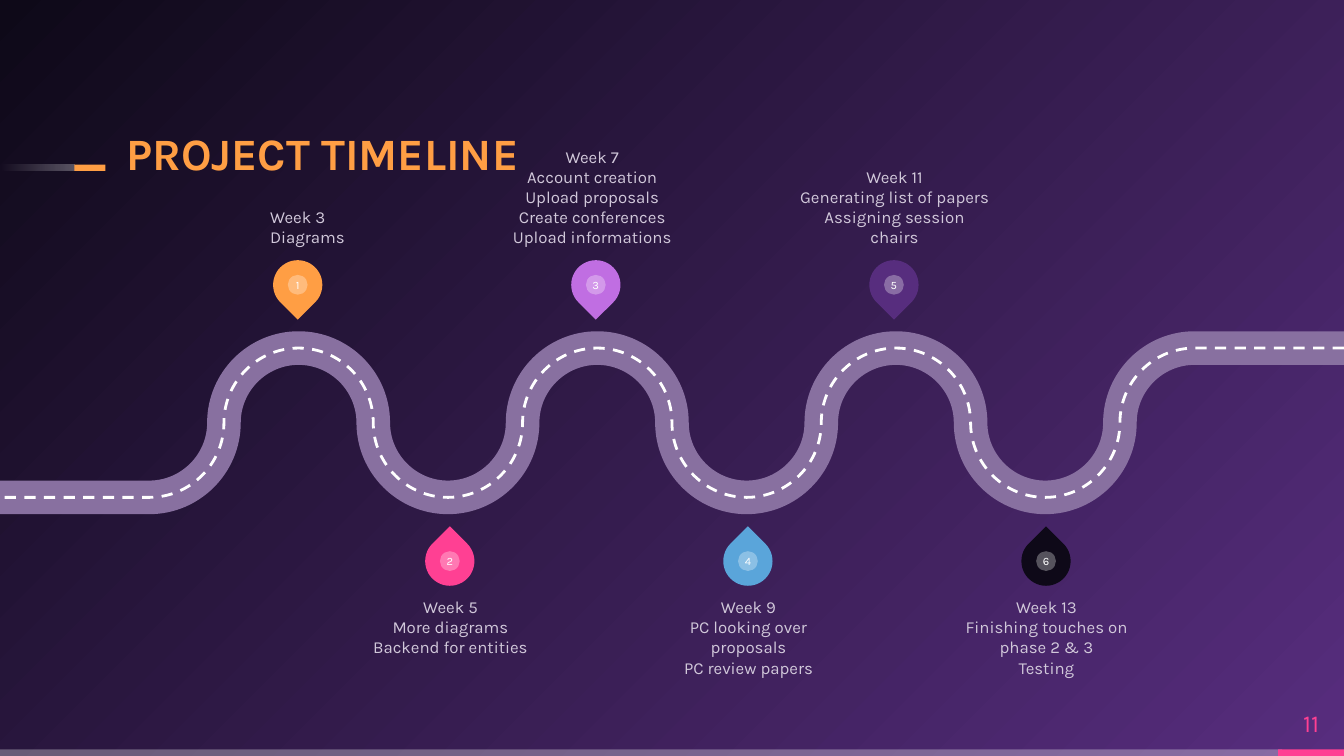
from lxml import etree
from pptx import Presentation
from pptx.dml.color import RGBColor
from pptx.enum.dml import MSO_LINE
from pptx.enum.shapes import MSO_SHAPE
from pptx.enum.text import MSO_ANCHOR, PP_ALIGN
from pptx.oxml import parse_xml
from pptx.oxml.ns import nsdecls, qn
from pptx.util import Pt

RECT, DROP, OVAL = MSO_SHAPE.RECTANGLE, MSO_SHAPE.TEAR, MSO_SHAPE.OVAL
LEFT, MID = PP_ALIGN.LEFT, PP_ALIGN.CENTER
TOP, CENTER, BOTTOM = MSO_ANCHOR.TOP, MSO_ANCHOR.MIDDLE, MSO_ANCHOR.BOTTOM
DASH = MSO_LINE.DASH

COLORS = {
    "white": "FFFFFF", "orange": "FF9E44", "pink": "FF4093",
    "violet": "C06EE2", "purple": "572D7E", "blue": "5AA5DA",
    "night": "0E0918", "road": "8870A0", "label": "D1C8DA",
}
FRAME = {"word_wrap": True, "margin_left": 0, "margin_right": 0,
         "margin_top": 0, "margin_bottom": 0}

WIDE, HIGH = 720, 405
CREST, DIP, BEND = 186.5, 266.5, 40
STEP, PIN, DOT = 159.7, 26.4, 10.6
LABEL = 101.6

UPPER = [
    ("1", "orange", 108.7, ["Week 3", "Diagrams"], LEFT),
    ("3", "violet", 266.4, ["Week 7", "Account creation", "Upload proposals",
                            "Create conferences", "Upload informations"], MID),
    ("5", "purple", 428.4, ["Week 11", "Generating list of papers",
                            "Assigning session chairs"], MID),
]
LOWER = [
    ("2", "pink", 190.5, ["Week 5", "More diagrams", "Backend for entities"], MID),
    ("4", "blue", 350.2, ["Week 9", "PC looking over proposals",
                          "PC review papers"], MID),
    ("6", "night", 509.8, ["Week 13", "Finishing touches on phase 2 & 3",
                           "Testing"], MID),
]


def tint(name):
    return RGBColor.from_string(COLORS[name])


def blend(root, stops, tail):
    marks = "".join(
        f'<a:gs pos="{pos * 1000}"><a:srgbClr val="{COLORS[name]}">'
        f'<a:alpha val="{alpha * 1000}"/></a:srgbClr></a:gs>'
        for pos, name, alpha in stops)
    fill = parse_xml(f'<a:gradFill {nsdecls("a")} rotWithShape="1">'
                     f'<a:gsLst>{marks}</a:gsLst>{tail}</a:gradFill>')
    old = root.find(".//" + qn("a:solidFill"))
    old.getparent().replace(old, fill)


def add_back(slide):
    slide.background.fill.solid()
    slide.background.fill.fore_color.rgb = tint("purple")
    blend(slide.background._cSld, [(0, "purple", 100), (100, "night", 100)],
          '<a:path path="circle"><a:fillToRect l="100000" t="100000"/></a:path>')


def add_form(slide, kind, box, color, alpha=100, turn=0):
    form = slide.shapes.add_shape(kind, *map(Pt, box))
    form.shadow.inherit = False
    form.rotation = turn
    form.line.fill.background()
    form.fill.solid()
    form.fill.fore_color.rgb = tint(color)
    if alpha < 100:
        clr = form._element.spPr.find(".//" + qn("a:srgbClr"))
        etree.SubElement(clr, qn("a:alpha"), val=str(alpha * 1000))
    return form


def write(form, lines, size, color, align=MID, anchor=CENTER, bold=False,
          space=None, indent=0):
    frame = form.text_frame
    for key, val in {**FRAME, "vertical_anchor": anchor}.items():
        setattr(frame, key, val)
    frame.text = "\n".join(lines)
    for para in frame.paragraphs:
        para.alignment = align
        para.line_spacing = space
        if indent:
            para._p.get_or_add_pPr().set("indent", str(Pt(indent)))
        font = para.runs[0].font
        for key, val in {"name": "Karla", "size": Pt(size), "bold": bold}.items():
            setattr(font, key, val)
        font.color.rgb = tint(color)


def add_text(slide, box, *args, **opts):
    write(slide.shapes.add_textbox(*map(Pt, box)), *args, **opts)


def road_points():
    mid, pull = (CREST + DIP) / 2, 0.55 * BEND
    cycle = [(CREST, -pull, 0), (mid, 0, pull), (DIP, -pull, 0), (mid, 0, -pull)]
    nodes = [(640 - BEND * i, *cycle[i % 4]) for i in range(15)]
    points = [nodes[0][:2]]
    for (x, y, dx, dy), (u, v, du, dv) in zip(nodes, nodes[1:]):
        points += [(x + dx, y + dy), (u - du, v - dv), (u, v)]
    return points + [(0, DIP)]


def add_road(slide, color, width, dash=None):
    pen = slide.shapes.build_freeform(Pt(WIDE), Pt(CREST))
    pen.add_line_segments([(Pt(x), Pt(y)) for x, y in road_points()], close=False)
    road = pen.convert_to_shape()
    road.shadow.inherit = False
    road.fill.background()
    road.line.width = Pt(width)
    road.line.color.rgb = tint(color)
    road.line.dash_style = dash
    legs = road._element.findall(".//" + qn("a:lnTo"))[1:-1]
    for i in range(0, len(legs), 3):
        curve = etree.Element(qn("a:cubicBezTo"))
        legs[i].addprevious(curve)
        for leg in legs[i:i + 3]:
            curve.append(leg[0])
            leg.getparent().remove(leg)


def add_pin(slide, x, y, num, color, turn):
    add_form(slide, DROP, (x - PIN / 2, y - PIN / 2, PIN, PIN), color, turn=turn)
    dot = add_form(slide, OVAL, (x - DOT / 2, y - DOT / 2, DOT, DOT), "white", 30)
    write(dot, [num], 6, "white")


def add_row(slide, items, start, y, turn, top, tall, anchor):
    for i, (num, color, left, lines, align) in enumerate(items):
        add_pin(slide, start + STEP * i, y, num, color, turn)
        add_text(slide, (left, top, LABEL, tall), lines, 9, "label", align, anchor,
                 indent=36 if align == LEFT else 0)


def add_trim(slide):
    add_form(slide, RECT, (0, 401.4, 686.9, 3.6), "white", 30)
    add_form(slide, RECT, (684.7, 401.4, 35.3, 3.6), "pink")
    fade = add_form(slide, RECT, (0, 88.2, 40, 3.4), "white")
    blend(fade._element.spPr, [(0, "white", 30), (100, "white", 0)],
          '<a:lin ang="10800000" scaled="0"/>')
    add_form(slide, RECT, (39.8, 88.2, 16.7, 3.4), "orange")


def main():
    deck = Presentation()
    deck.slide_width, deck.slide_height = Pt(WIDE), Pt(HIGH)
    slide = deck.slides.add_slide(deck.slide_layouts[6])
    add_back(slide)
    add_trim(slide)
    add_text(slide, (67.7, 65.5, 417.6, 31), ["PROJECT TIMELINE"], 24, "orange",
             LEFT, BOTTOM, bold=True, space=0.9)
    add_text(slide, (684.7, 373.7, 35.3, 27.4), ["11"], 13, "pink")
    add_road(slide, "road", 18)
    add_road(slide, "white", 1.5, DASH)
    add_row(slide, UPPER, 159.5, 152.6, 135, 90.7, 41.8, BOTTOM)
    add_row(slide, LOWER, 241, 300.6, 315, 319.7, 41.8, TOP)
    deck.save("out.pptx")


if __name__ == "__main__":
    main()
